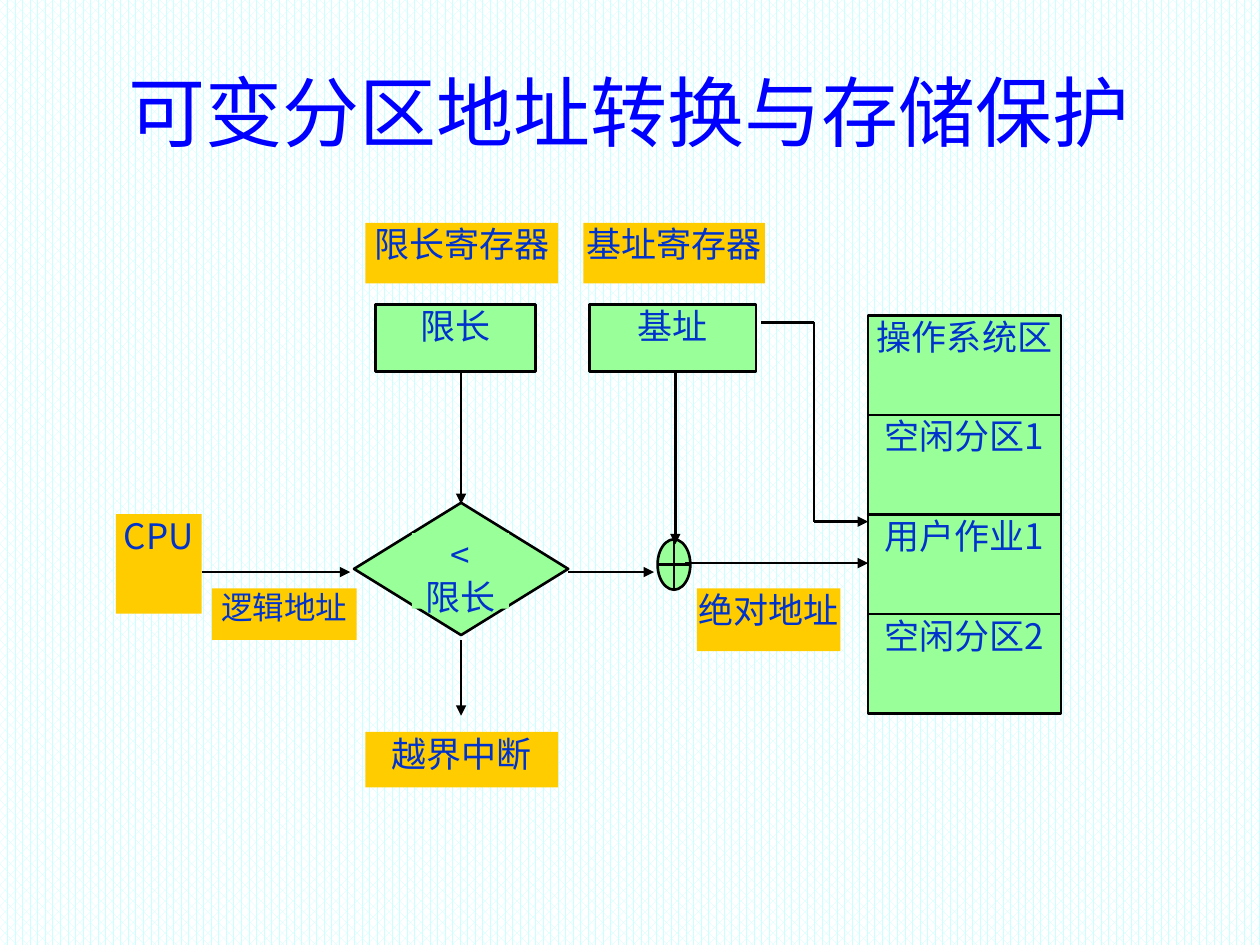
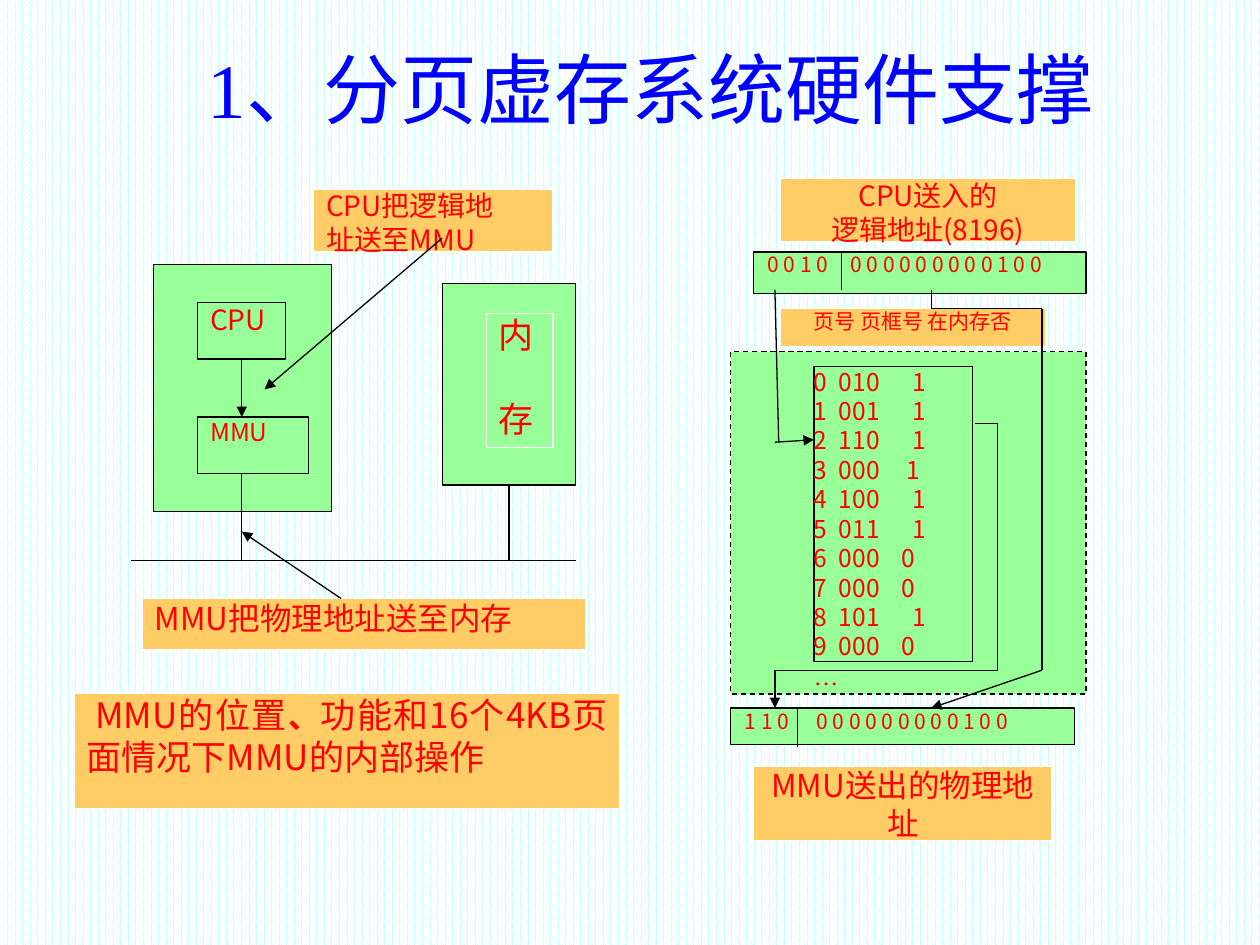
"""Build two slides on partition address translation and paged memory hardware."""
from dataclasses import dataclass
from itertools import pairwise

from lxml import etree
from pptx import Presentation
from pptx.dml.color import RGBColor
from pptx.enum.dml import MSO_LINE, MSO_PATTERN
from pptx.enum.shapes import MSO_CONNECTOR, MSO_SHAPE as SHAPE
from pptx.enum.text import MSO_ANCHOR, PP_ALIGN as ALIGN
from pptx.oxml.ns import qn
from pptx.util import Pt

SANS, SERIF = "Noto Sans CJK JP", "Times New Roman"
BLACK, WHITE, GREEN = "000000", "FFFFFF", "99FF99"
TITLE_BLUE, TEXT_BLUE, RED = "0000FF", "0033CC", "FF0000"
GOLD, ORANGE = "FFCC00", "FFCC66"
LINE_RATIO = 1.2


@dataclass
class Box:
    left: float
    top: float
    width: float
    height: float
    text: str = ""
    fill: str = GREEN
    line: str | None = BLACK
    size: float = 20
    align: ALIGN = ALIGN.CENTER
    inset: float = 0
    tabs: tuple[float, ...] = ()
    shape: SHAPE = SHAPE.RECTANGLE
    dashed: bool = False


@dataclass
class Route:
    points: list[tuple[float, float]]
    arrow: bool = True
    weight: float = 0.75


def color(value: str) -> RGBColor:
    return RGBColor.from_string(value)


def style_span(span, size: float, ink: str, font: str = SANS) -> None:
    span.font.size = Pt(size)
    span.font.name = font
    span.font.color.rgb = color(ink)
    east_asian = etree.SubElement(span.font._element, qn("a:ea"))
    east_asian.set("typeface", SANS)


def set_tabs(para, stops) -> None:
    tab_list = etree.SubElement(para._p.get_or_add_pPr(), qn("a:tabLst"))
    for stop in stops:
        etree.SubElement(tab_list, qn("a:tab"), pos=str(Pt(stop)), algn="l")


def add_box(page, box: Box, ink: str, weight: float):
    item = page.shapes.add_shape(
        box.shape, Pt(box.left), Pt(box.top), Pt(box.width), Pt(box.height))
    item.shadow.inherit = False
    item.fill.solid()
    item.fill.fore_color.rgb = color(box.fill)
    if box.line:
        item.line.color.rgb = color(box.line)
        item.line.width = Pt(weight)
        if box.dashed:
            item.line.dash_style = MSO_LINE.DASH
    else:
        item.line.fill.background()
    frame = item.text_frame
    frame.word_wrap = True
    frame.vertical_anchor = MSO_ANCHOR.TOP
    frame.margin_left = frame.margin_right = Pt(box.inset)
    frame.margin_top = frame.margin_bottom = 0
    if box.text:
        frame.text = box.text
        for para in frame.paragraphs:
            if box.tabs:
                set_tabs(para, box.tabs)
            para.alignment = box.align
            para.line_spacing = Pt(box.size * LINE_RATIO)
            for span in para.runs:
                style_span(span, box.size, ink)
    return item


def add_route(page, route: Route) -> None:
    for index, (start, end) in enumerate(pairwise(route.points), 2):
        line = page.shapes.add_connector(
            MSO_CONNECTOR.STRAIGHT, *(Pt(value) for value in (*start, *end)))
        line.line.color.rgb = color(BLACK)
        line.line.width = Pt(route.weight)
        properties = line._element.spPr
        if route.arrow and index == len(route.points):
            etree.SubElement(properties.find(qn("a:ln")), qn("a:tailEnd"), type="triangle")
        etree.SubElement(properties, qn("a:effectLst"))


def add_page(deck, text: str, left: float, top: float, width: float, height: float):
    page = deck.slides.add_slide(deck.slide_layouts[5])
    title = page.shapes.title
    title.left, title.top, title.width, title.height = map(Pt, (left, top, width, height))
    title.text_frame.text = text
    title.text_frame.vertical_anchor = MSO_ANCHOR.MIDDLE
    para = title.text_frame.paragraphs[0]
    para.alignment = ALIGN.CENTER
    style_span(para.runs[0], 44, TITLE_BLUE, SERIF)
    return page


def build_translation(deck) -> None:
    page = add_page(deck, "可变分区地址转换与存储保护", 30, 15, 659, 96)

    def label(left, top, width, height, text, size=20):
        return Box(left, top, width, height, text, GOLD, None, size)

    partitions = ["操作系统区", "空闲分区1", "用户作业1", "空闲分区2"]
    boxes = [
        Box(337, 174.2, 95, 38.2, "基址"),
        label(333.4, 127.4, 103.7, 34.6, "基址寄存器"),
        label(121, 336.2, 82.8, 29.5, "逻辑地址", 18),
        label(66.2, 293.8, 49, 56.9, "CPU"),
        Box(375.8, 308.2, 18.7, 28.8, shape=SHAPE.FLOWCHART_OR),
        label(398.2, 336.2, 82.1, 36, "绝对地址"),
        *(Box(496.1, 180.2 + 56.9 * row, 110.2, 56.9, text)
          for row, text in enumerate(partitions)),
        Box(214.6, 174.2, 91.4, 38.2, "限长"),
        label(208.8, 127.4, 110.2, 34.6, "限长寄存器"),
        Box(202.3, 287.3, 122.4, 75.6, shape=SHAPE.FLOWCHART_DECISION),
        Box(235.4, 304.6, 55.4, 43.2, "<\n限长", line=None),
        label(208.8, 418.3, 110.2, 31.7, "越界中断"),
    ]
    for box in boxes:
        add_box(page, box, TEXT_BLUE, 1.5)
    paths = [
        [(434.9, 184.3), (465.1, 184.3), (465.1, 298.1), (496.1, 298.1)],
        [(385.9, 213), (385.9, 311)],
        [(115.2, 326.9), (200.2, 326.9)],
        [(391.7, 321.8), (496.1, 321.8)],
        [(263.5, 212.4), (263.5, 288)],
        [(324.7, 326.9), (373.7, 326.9)],
        [(263.5, 365.8), (263.5, 409)],
    ]
    for path in paths:
        add_route(page, Route(path, weight=1.5))


def add_page_table(page) -> None:
    frames = ["010", "001", "110", "000", "100", "011", "000", "000", "101", "000"]
    flags = "1111110010"
    rows = [f"{number}\t{frame}\t{flag}"
            for number, (frame, flag) in enumerate(zip(frames, flags))]
    table = add_box(page, Box(465.1, 209.5, 90.7, 168.5, "\n".join([*rows, "…"]),
                              size=14, align=ALIGN.LEFT), RED, 0.75)
    paras = table.text_frame.paragraphs
    for number, para in enumerate(paras[:-1]):
        flag_stop = 50 if flags[number] == "0" else 53 if number == 3 else 56.5
        set_tabs(para, (14.3, flag_stop))
    paras[-1].runs[0].font.name = SERIF


def add_caption(page) -> None:
    caption = add_box(page, Box(42.5, 396, 311.8, 66.2, "MMU的位置", ORANGE, WHITE,
                                align=ALIGN.JUSTIFY, inset=7.2), RED, 0.75)
    para = caption.text_frame.paragraphs[0]
    para._p.get_or_add_pPr().set("indent", str(Pt(5)))
    for text, size, bold in [("、", 18, True),
                             ("功能和16个4KB页面情况下MMU的内部操作", 20, False)]:
        span = para.add_run()
        span.text = text
        style_span(span, size, RED)
        span.font.bold = bold


def build_paging(deck) -> None:
    page = add_page(deck, "1、分页虚存系统硬件支撑", 30, 11, 684, 78)

    def label(left, top, width, height, text, size, align=ALIGN.CENTER):
        return Box(left, top, width, height, text, ORANGE, WHITE, size, align, 7.2)

    def chip(top, width, text, size):
        return Box(113, top, width, 32.4, text, size=size, align=ALIGN.LEFT, inset=7.2)

    def bits(left, top, width, height, number, stop):
        return Box(left, top, width, height, f"{number}\t0 0 0 0 0 0 0 0 0 1 0 0",
                   size=12, align=ALIGN.LEFT, inset=8, tabs=(stop,))

    boxes = [
        Box(417.6, 200.9, 203, 195.8, dashed=True),
        Box(87.8, 151.2, 101.5, 141.1),
        chip(172.8, 50.4, "CPU", 16),
        chip(238.3, 63.4, "MMU", 14),
        Box(252.7, 162, 76.3, 115.2),
        label(179.3, 108, 136.8, 36, "CPU把逻辑地\n址送至MMU", 16, ALIGN.JUSTIFY),
        label(81.4, 342, 253.4, 29.5, "MMU把物理地址送至内存", 18, ALIGN.JUSTIFY),
        label(445.7, 102.2, 169.2, 36, "CPU送入的\n逻辑地址(8196)", 16),
        bits(430.6, 144, 190.1, 23.8, "0 0 1 0", 47.5),
        bits(417.6, 404.6, 196.6, 20.9, "1 1 0", 41),
        label(430.6, 437.8, 170.6, 42.5, "MMU送出的物理地址", 18),
        label(445.7, 176.4, 151.9, 21.6, "页号 页框号 在内存否", 12),
    ]
    for box in boxes:
        add_box(page, box, RED, 0.75)
    memory = add_box(page, Box(277.9, 179.3, 38.2, 76.3, "内\n存", line=WHITE,
                               align=ALIGN.JUSTIFY, inset=7.2), RED, 0.75)
    memory.text_frame.paragraphs[1].space_before = Pt(24)
    add_caption(page)
    add_page_table(page)
    routes = [
        Route([(138.2, 205.9), (138.2, 238.3)]),
        Route([(138.2, 270.7), (138.2, 320.4)], False),
        Route([(74.9, 320.4), (329, 320.4)], False),
        Route([(290.9, 277.2), (290.9, 320.4)], False),
        Route([(194.9, 342), (138.2, 303.8)]),
        Route([(252.7, 136.1), (151.2, 222.5)]),
        Route([(481, 144), (481, 165.6)], False),
        Route([(455.8, 404.6), (455.8, 427)], False),
        Route([(442.8, 165.6), (445, 252.7)], False),
        Route([(442.8, 252.7), (465.1, 251.3)]),
        Route([(557.3, 241.9), (570.2, 241.9), (570.2, 383), (442.8, 383)], False),
        Route([(442.8, 383), (442.8, 404.6)], weight=1.5),
        Route([(532.1, 165.6), (532.1, 176.4), (595.4, 176.4), (595.4, 383),
               (532.1, 404.6)]),
    ]
    for route in routes:
        add_route(page, route)


def main() -> None:
    deck = Presentation()
    deck.slide_width, deck.slide_height = Pt(720), Pt(540)
    backdrop = deck.slide_master.background.fill
    backdrop.patterned()
    backdrop.pattern = MSO_PATTERN.PERCENT_60
    backdrop.fore_color.rgb = color("CCFFFF")
    backdrop.back_color.rgb = color(WHITE)
    build_translation(deck)
    build_paging(deck)
    deck.save("out.pptx")


if __name__ == "__main__":
    main()
